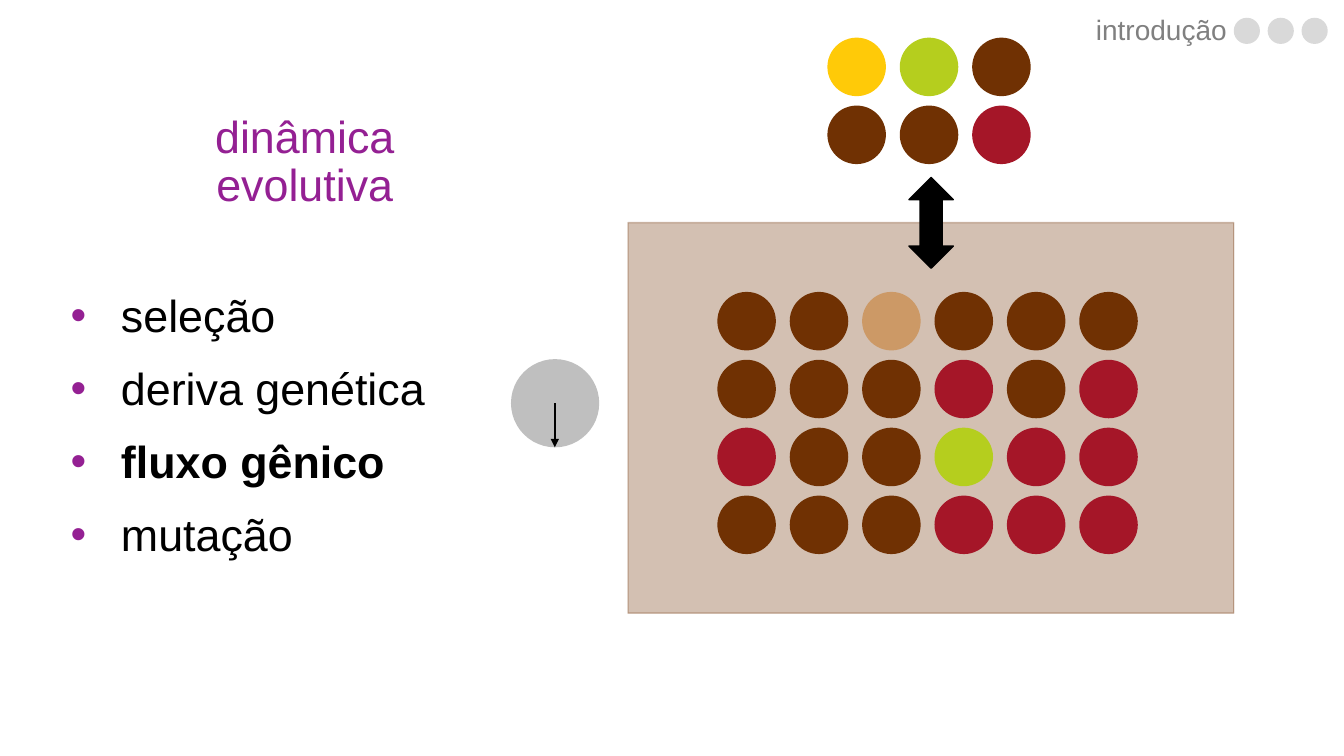
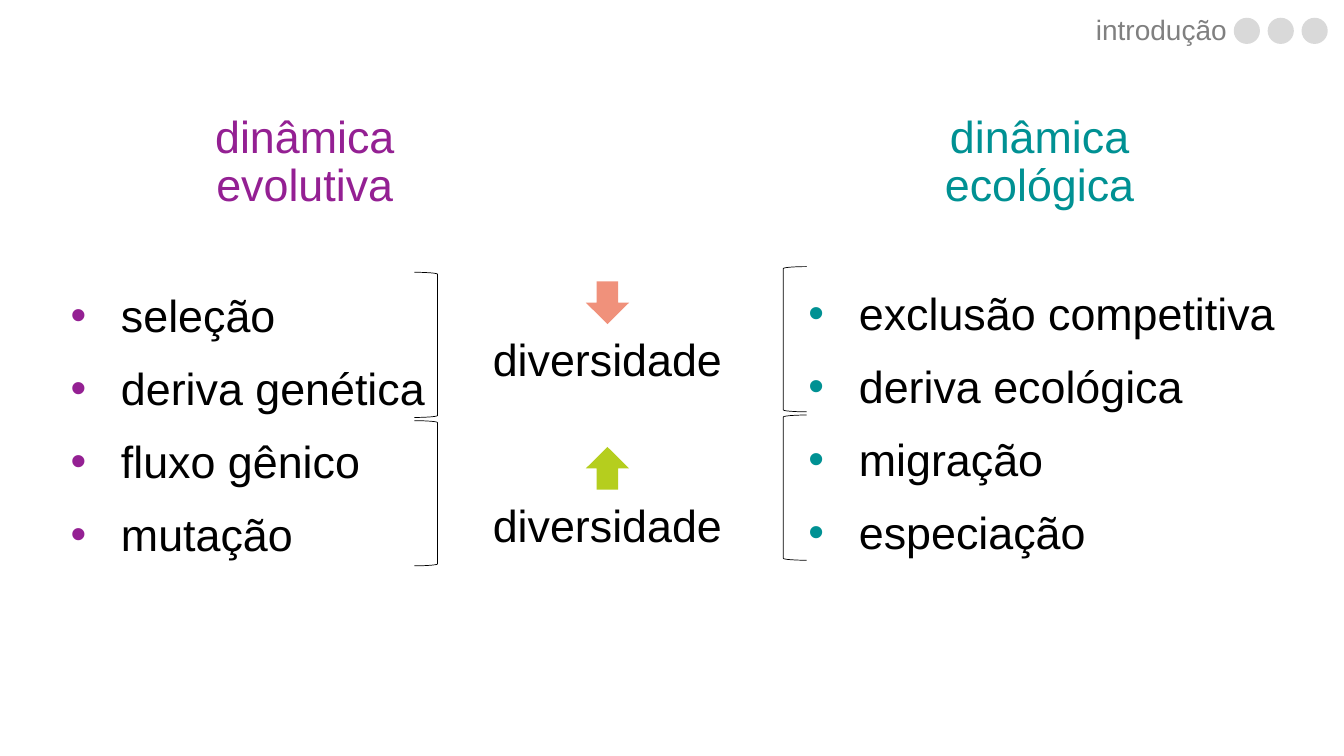
"""Two slides on what drives diversity in evolution and in ecology."""
import pptx
import pptx.dml.color
import pptx.enum.shapes
import pptx.enum.text
import pptx.oxml
import pptx.oxml.ns
import pptx.util

Pt = pptx.util.Pt
KIND = pptx.enum.shapes.MSO_SHAPE
ALIGN = pptx.enum.text.PP_ALIGN
ANCHOR = pptx.enum.text.MSO_ANCHOR
SPACE = pptx.oxml.ns.nsdecls("a")

FONT = "Arial"
BLACK, GREY, PALE, DISC = "000000", "808080", "D9D9D9", "BFBFBF"
PURPLE, TEAL, SALMON, LIME = "942093", "009193", "F0917B", "B5CE1E"
BROWN = "703103"
HUES = {"B": BROWN, "G": LIME, "R": "A51628", "T": "CC9966", "Y": "FFCA08"}
GENES = ["seleção", "deriva genética", "fluxo gênico", "mutação"]
NICHES = ["exclusão competitiva", "deriva ecológica", "migração", "especiação"]
LOCAL = ["BBTBBB", "BBBRBR", "RBBGRR", "BBBRRR"]
SOURCE = ["YGB", "BBR"]


def rgb(code):
    """Turn a hex string into a colour."""
    return pptx.dml.color.RGBColor.from_string(code)


def node(tag, attrs=""):
    """Make one drawing element."""
    return pptx.oxml.parse_xml(f"<a:{tag} {SPACE} {attrs}/>")


def place(item, box):
    """Move and size an item."""
    item.left, item.top, item.width, item.height = map(Pt, box)


def shape(slide, kind, box, fill=None, line=None, width=1):
    """Draw a preset shape without a shadow."""
    item = slide.shapes.add_shape(kind, *map(Pt, box))
    item.shadow.inherit = False
    if fill:
        item.fill.solid()
        item.fill.fore_color.rgb = rgb(fill)
    else:
        item.fill.background()
    if line:
        item.line.color.rgb = rgb(line)
        item.line.width = Pt(width)
    else:
        item.line.fill.background()
    return item


def fade(item, share):
    """Make fill and line see-through."""
    for tint in item.element.spPr.iter(pptx.oxml.ns.qn("a:srgbClr")):
        tint.append(node("alpha", f'val="{share * 1000}"'))


def write(item, lines, hue=BLACK, size=32, align=ALIGN.LEFT, lead=0.9,
          after=0, bullet=None, strong=None, anchor=ANCHOR.TOP):
    """Fill a text frame with formatted paragraphs."""
    frame = item.text_frame
    frame.word_wrap = True
    frame.auto_size = pptx.enum.text.MSO_AUTO_SIZE.NONE
    frame.vertical_anchor = anchor
    frame.text = "\n".join(lines)
    for para in frame.paragraphs:
        para.alignment = align
        para.line_spacing = lead
        para.space_before, para.space_after = Pt(0), Pt(after)
        if bullet:
            props = para._p.get_or_add_pPr()
            props.set("marL", str(Pt(36)))
            props.set("indent", str(-Pt(36)))
            tint = node("buClr")
            tint.append(node("srgbClr", f'val="{bullet}"'))
            props.append(tint)
            props.append(node("buFont", f'typeface="{FONT}"'))
            props.append(node("buChar", 'char="•"'))
        para.font.name = FONT
        para.font.size = Pt(size)
        para.font.color.rgb = rgb(hue)
        para.font.bold = para.text == strong


def label(slide, box, text, **style):
    """Add a text box."""
    item = slide.shapes.add_textbox(*map(Pt, box))
    write(item, [text], **style)


def title(item, left, text, hue):
    """Format a column title."""
    place(item, (left, 64, 232.5, 104.5))
    write(item, [text], hue, align=ALIGN.CENTER, anchor=ANCHOR.MIDDLE)


def points(item, box, lines, hue, strong=None):
    """Format a bulleted list."""
    place(item, box)
    write(item, lines, lead=1.2, after=6, bullet=hue, strong=strong)


def dots(slide, left, top, rows):
    """Draw a grid of individuals coloured by letter."""
    for row, code in enumerate(rows):
        for col, key in enumerate(code):
            box = (left + col * 51.7, top + row * 48.5, 41.8, 41.8)
            shape(slide, KIND.OVAL, box, HUES[key])


def clock(slide):
    """Draw the disc with its hand."""
    shape(slide, KIND.OVAL, (365, 256.5, 63, 63), DISC)
    hand = slide.shapes.add_connector(
        pptx.enum.shapes.MSO_CONNECTOR.STRAIGHT,
        *map(Pt, (396.3, 288, 396.3, 319.5)))
    hand.line.color.rgb = rgb(BLACK)
    hand.line.width = Pt(1.5)
    props = hand.element.spPr
    props.find(pptx.oxml.ns.qn("a:ln")).append(
        node("tailEnd", 'type="triangle"'))
    props.append(node("effectLst"))


def start(deck, layout):
    """Add a slide with the section mark and the left column title."""
    slide = deck.slides.add_slide(deck.slide_layouts[layout])
    label(slide, (709, 5.5, 174.5, 34), "introdução", hue=GREY, size=20,
          align=ALIGN.RIGHT, anchor=ANCHOR.MIDDLE)
    for step in range(3):
        shape(slide, KIND.OVAL, (881.3 + step * 24.2, 12.7, 18.7, 18.7), PALE)
    title(slide.shapes.title, 101.5, "dinâmica evolutiva", PURPLE)
    return slide


def genes(slide, strong=None):
    """Fill the list of evolutionary forces."""
    points(slide.placeholders[1], (43.2, 194.5, 350, 269), GENES, PURPLE,
           strong)


def flow(deck):
    """Build the gene flow slide."""
    slide = start(deck, 1)
    genes(slide, "fluxo gênico")
    patch = shape(slide, KIND.RECTANGLE, (448.6, 159, 432.7, 279), BROWN, BROWN)
    fade(patch, 30)
    dots(slide, 512.4, 208.5, LOCAL)
    dots(slide, 591, 26.9, SOURCE)
    shape(slide, KIND.UP_DOWN_ARROW, (649.3, 126.8, 31.7, 64.8), BLACK, BLACK)
    clock(slide)


def compare(deck):
    """Build the slide that sets both dynamics side by side."""
    slide = start(deck, 3)
    genes(slide)
    right = slide.shapes.add_textbox(0, 0, 0, 0)
    title(right, 626.4, "dinâmica ecológica", TEAL)
    points(slide.placeholders[2], (570.3, 193, 378, 269), NICHES, TEAL)
    for kind, left, top in ((KIND.RIGHT_BRACKET, 296, 194.5),
                            (KIND.LEFT_BRACKET, 559.5, 190.5)):
        for step in range(2):
            box = (left, top + step * 106, 16.6, 103.7)
            shape(slide, kind, box, line=BLACK, width=0.5)
    for step, (kind, hue) in enumerate(((KIND.DOWN_ARROW, SALMON),
                                        (KIND.UP_ARROW, LIME))):
        drop = step * 118.3
        label(slide, (344.9, 226 + drop, 178.5, 68.5), "diversidade",
              lead=1.2, after=6)
        shape(slide, kind, (418.5, 201 + drop, 30.8, 30.5), hue)


def main():
    """Build and save the deck."""
    deck = pptx.Presentation()
    deck.slide_width, deck.slide_height = Pt(960), Pt(540)
    flow(deck)
    compare(deck)
    deck.save("out.pptx")


if __name__ == "__main__":
    main()
